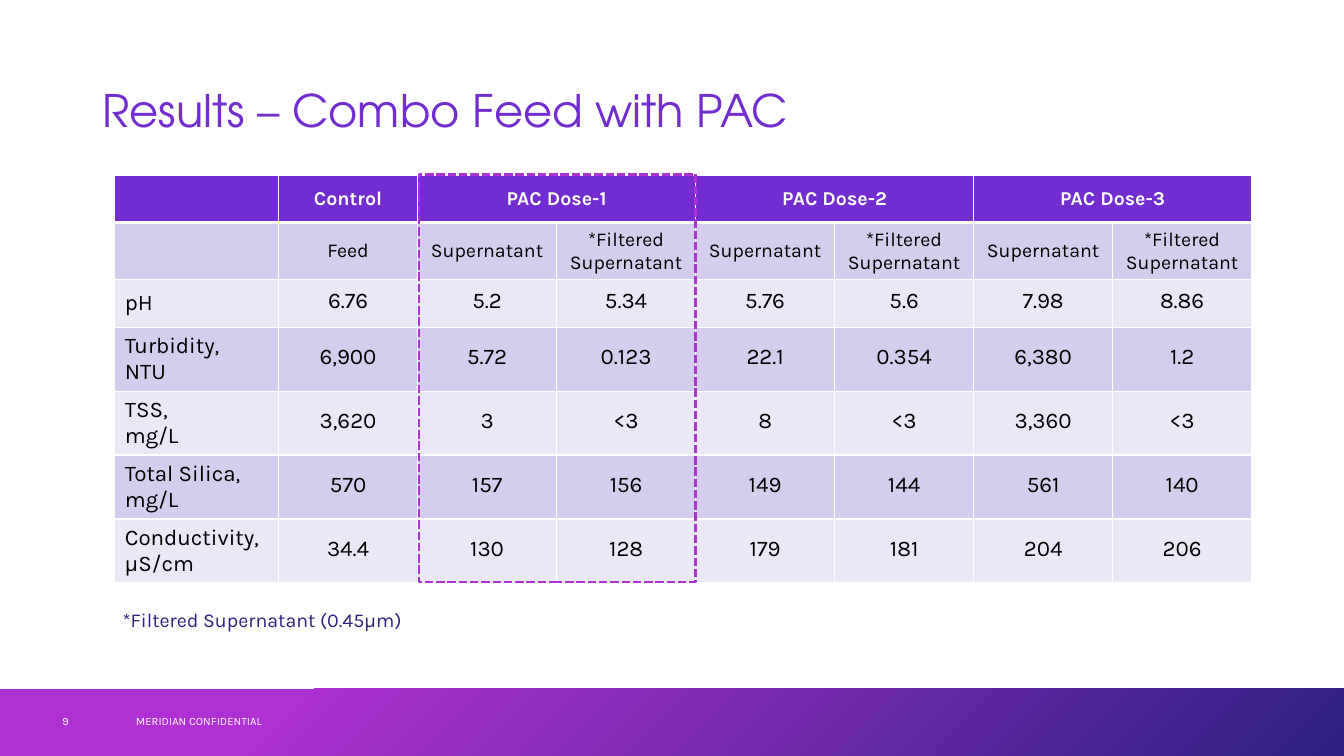
import pptx
import pptx.util
import pptx.dml.color
import pptx.enum.dml
import pptx.enum.shapes
import pptx.enum.text
import pptx.oxml

Pt = pptx.util.Pt
RGBColor = pptx.dml.color.RGBColor
Align = pptx.enum.text.PP_ALIGN
Anchor = pptx.enum.text.MSO_ANCHOR
RECTANGLE = pptx.enum.shapes.MSO_SHAPE.RECTANGLE

PURPLE = RGBColor(0x72, 0x2C, 0xCF)
MAGENTA = RGBColor(0xAF, 0x31, 0xD3)
NAVY = RGBColor(0x2D, 0x20, 0x82)
LAVENDER = RGBColor(0xD5, 0xCD, 0xED)
PALE_LAVENDER = RGBColor(0xEB, 0xE8, 0xF6)
WHITE = RGBColor(0xFF, 0xFF, 0xFF)
BLACK = RGBColor(0, 0, 0)

TITLE_FONT = "TeX Gyre Adventor"
BODY_FONT = "Karla"

SLIDE_WIDTH, SLIDE_HEIGHT = 960, 540
LABEL_WIDTH, VALUE_WIDTH = 117, 99.3
ROW_HEIGHTS = [34, 39, 34] + [44.7] * 4

DOSES = ["PAC Dose-1", "PAC Dose-2", "PAC Dose-3"]
RESULTS = [
    ["", "Control"] + [text for dose in DOSES for text in (dose, "")],
    ["", "Feed"] + ["Supernatant", "*Filtered Supernatant"] * len(DOSES),
    ["pH", "6.76", "5.2", "5.34", "5.76", "5.6", "7.98", "8.86"],
    ["Turbidity,\vNTU", "6,900", "5.72", "0.123", "22.1", "0.354", "6,380", "1.2"],
    ["TSS,\vmg/L", "3,620", "3", "<3", "8", "<3", "3,360", "<3"],
    ["Total Silica,\vmg/L", "570", "157", "156", "149", "144", "561", "140"],
    ["Conductivity, μS/cm", "34.4", "130", "128", "179", "181", "204", "206"],
]


def style(paragraph, size, color, font=BODY_FONT, bold=False, align=Align.LEFT):
    paragraph.alignment = align
    paragraph.font.name = font
    paragraph.font.size = Pt(size)
    paragraph.font.bold = bold
    paragraph.font.color.rgb = color


def add_label(slide, text, left, top, width, height, size, color, anchor):
    label = slide.shapes.add_textbox(Pt(left), Pt(top), Pt(width), Pt(height))
    frame = label.text_frame
    frame.word_wrap = True
    frame.vertical_anchor = anchor
    frame.text = text
    style(frame.paragraphs[0], size, color)
    return frame.paragraphs[0]


def add_title(slide, left, top, width, height):
    title = slide.shapes.title
    title.left, title.top, title.width, title.height = map(Pt, (left, top, width, height))
    frame = title.text_frame
    frame.text = "Results – Combo Feed with PAC"
    frame.auto_size = pptx.enum.text.MSO_AUTO_SIZE.NONE
    frame.vertical_anchor = Anchor.MIDDLE
    style(frame.paragraphs[0], 32, PURPLE, TITLE_FONT)
    frame.paragraphs[0].line_spacing = 0.9


def add_footer(slide, left, top, width, height):
    band = slide.shapes.add_shape(RECTANGLE, Pt(left), Pt(top), Pt(width), Pt(height))
    band.shadow.inherit = False
    band.line.fill.background()
    band.fill.gradient()
    band.fill.gradient_angle = 315
    for stop, position, color in zip(band.fill.gradient_stops, (0.21, 1), (MAGENTA, NAVY)):
        stop.position = position
        stop.color.rgb = color
    # Page number and confidentiality line
    for text, offset, label_width in (("9", 37.5, 52), ("MERIDIAN CONFIDENTIAL", 90, 324)):
        add_label(slide, text, left + offset, top + 8.5, label_width, 29, 8, WHITE, Anchor.MIDDLE)


def set_borders(cell, row):
    widths = {"L": 1, "R": 1, "T": 3 if row == 1 else 1, "B": 3 if row == 0 else 1}
    for side, width in widths.items():
        cell._tc.get_or_add_tcPr().append(pptx.oxml.parse_xml(
            f'<a:ln{side} xmlns:a="http://schemas.openxmlformats.org/drawingml/2006/main"'
            f' w="{Pt(width)}"><a:solidFill><a:srgbClr val="{WHITE}"/></a:solidFill></a:ln{side}>'))


def fill_cell(cell, text, row, column):
    set_borders(cell, row)
    cell.fill.solid()
    cell.fill.fore_color.rgb = PURPLE if row == 0 else LAVENDER if row % 2 else PALE_LAVENDER
    cell.vertical_anchor = Anchor.MIDDLE
    if row > 1 and column > 0:
        cell.margin_left = cell.margin_right = cell.margin_top = Pt(0.72)
        cell.margin_bottom = Pt(3.6)
    cell.text = text
    style(cell.text_frame.paragraphs[0], 14 if row < 2 else 16, WHITE if row == 0 else BLACK,
          bold=row == 0, align=Align.CENTER if column else Align.LEFT)


def add_results(slide, left, top):
    columns = len(RESULTS[0])
    width = LABEL_WIDTH + VALUE_WIDTH * (columns - 1)
    height = sum(ROW_HEIGHTS)
    table = slide.shapes.add_table(len(RESULTS), columns, Pt(left), Pt(top),
                                   Pt(width), Pt(height)).table
    table.horz_banding = False
    for index, column in enumerate(table.columns):
        column.width = Pt(VALUE_WIDTH if index else LABEL_WIDTH)
    for row, row_height in zip(table.rows, ROW_HEIGHTS):
        row.height = Pt(row_height)
    for row, texts in enumerate(RESULTS):
        for column, text in enumerate(texts):
            fill_cell(table.cell(row, column), text, row, column)
    for column in range(2, columns, 2):
        table.cell(0, column).merge(table.cell(0, column + 1))

    # Dashed frame around the first dose
    frame_left = left + LABEL_WIDTH + VALUE_WIDTH + 1
    frame = slide.shapes.add_shape(RECTANGLE, Pt(frame_left), Pt(top - 0.5),
                                   Pt(2 * VALUE_WIDTH - 1), Pt(height + 5.5))
    frame.shadow.inherit = False
    frame.fill.background()
    frame.line.color.rgb = MAGENTA
    frame.line.width = Pt(2)
    frame.line.dash_style = pptx.enum.dml.MSO_LINE.SQUARE_DOT

    # Footnote under the table
    footnote = add_label(slide, "*Filtered Supernatant (0.45μm)", left - 1.5, top + height + 22,
                         261, 27, 14, NAVY, Anchor.TOP)
    footnote.line_spacing = 0.9


def main():
    deck = pptx.Presentation()
    deck.slide_width, deck.slide_height = Pt(SLIDE_WIDTH), Pt(SLIDE_HEIGHT)
    slide = deck.slides.add_slide(deck.slide_layouts.get_by_name("Title Only"))
    add_footer(slide, 0, 492, SLIDE_WIDTH, 48)
    add_title(slide, 66, 29, 828, 104)
    add_results(slide, 82, 125)
    deck.save("out.pptx")


if __name__ == "__main__":
    main()
